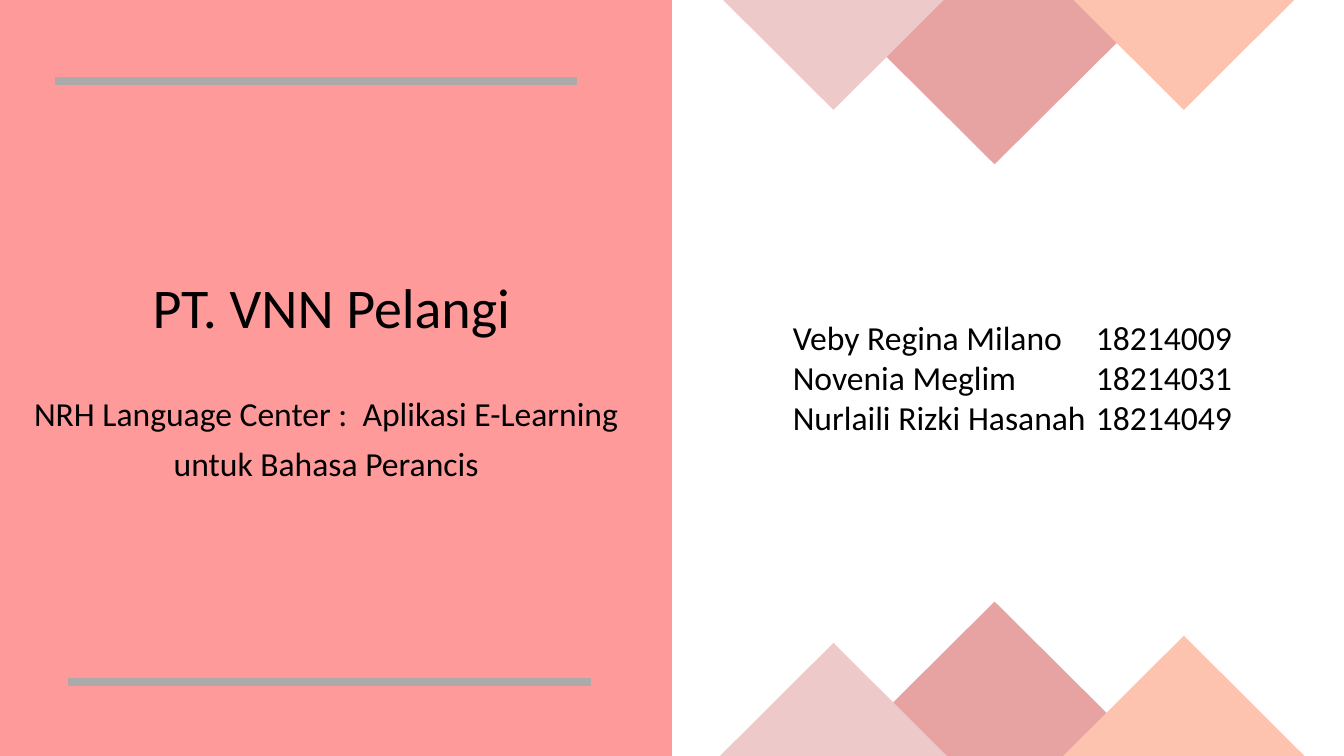
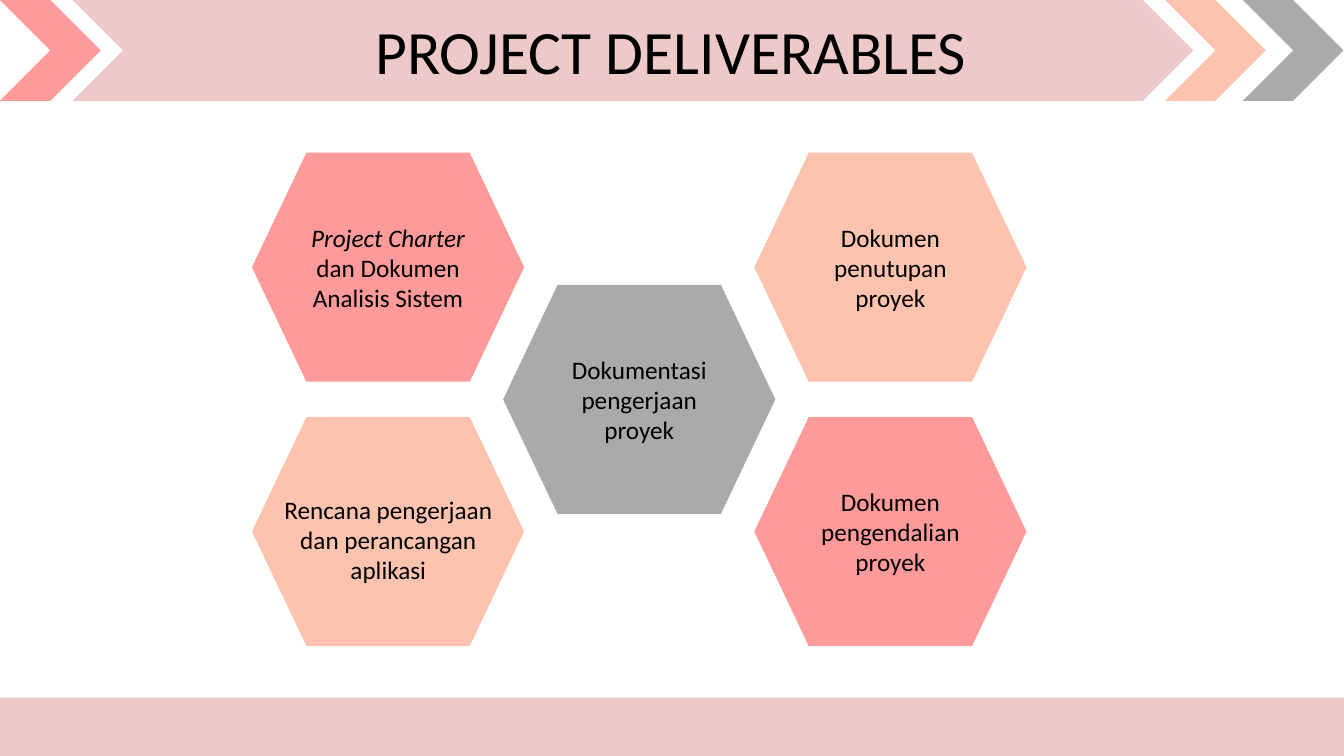
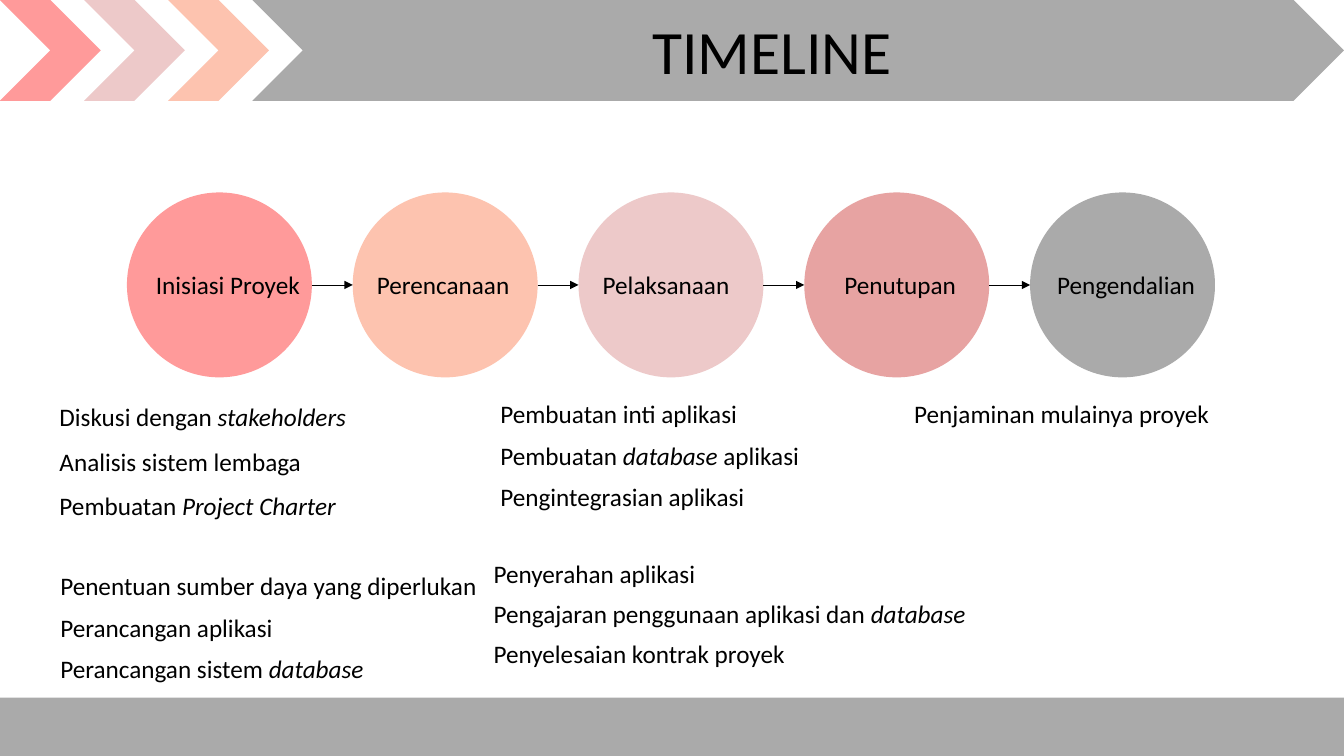
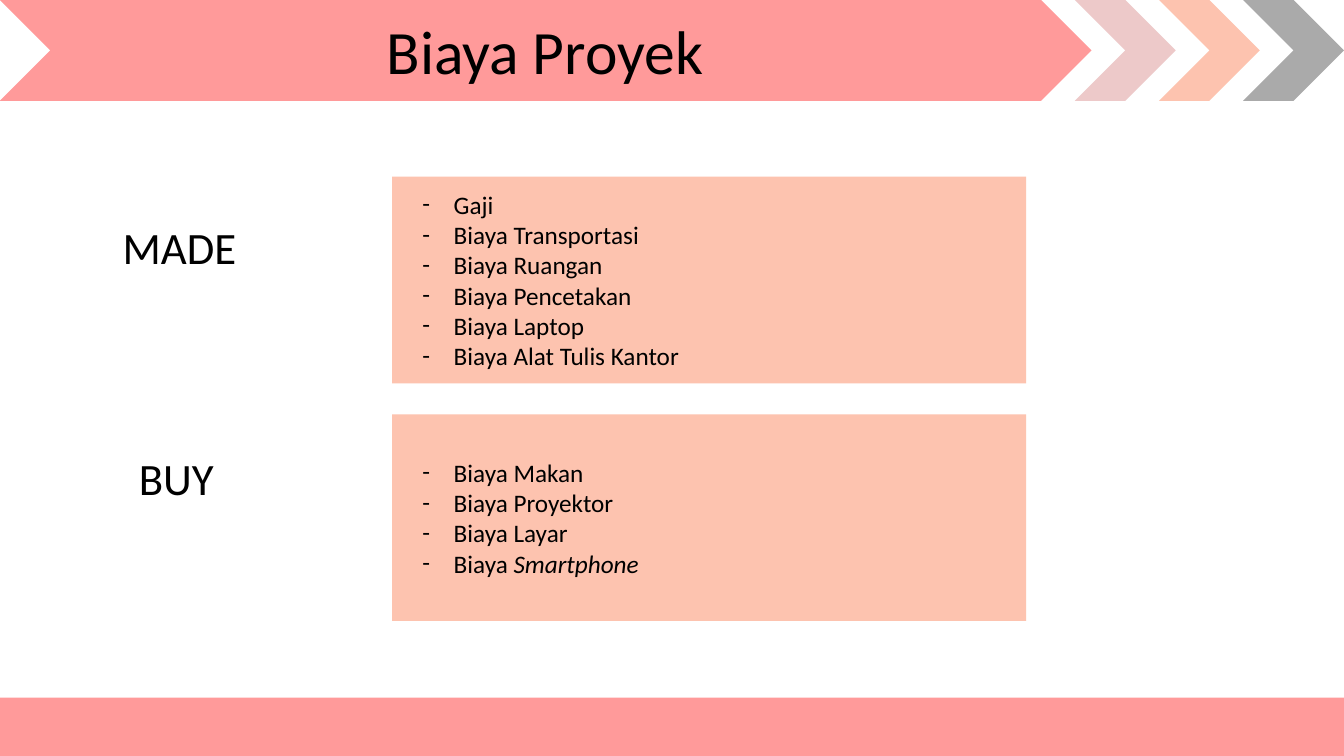
from lxml.etree import SubElement
from pptx import Presentation
from pptx.dml.color import RGBColor
from pptx.enum.shapes import MSO_CONNECTOR, MSO_SHAPE
from pptx.enum.text import MSO_ANCHOR, MSO_AUTO_SIZE, PP_ALIGN
from pptx.oxml.ns import qn
from pptx.util import Cm, Pt

CORAL = RGBColor(0xFF, 0x9A, 0x9A)
BLUSH = RGBColor(0xED, 0xC9, 0xC9)
PEACH = RGBColor(0xFD, 0xC3, 0xAF)
ROSE = RGBColor(0xE7, 0xA3, 0xA2)
GRAY = RGBColor(0xAA, 0xAA, 0xAA)
BLACK = RGBColor(0, 0, 0)

FONT = "Calibri"
WIDTH, HEIGHT = 33.87, 19.05
BAND = 2.54
STEP = 2.12
FOOTER = 1.47


def write(frame, lines, size=18, align=PP_ALIGN.LEFT, anchor=MSO_ANCHOR.TOP,
          leading=1.0, gap=0, bullet=None, tab=None):
    """Fill a text frame, one paragraph per line, with *starred* parts in italics."""
    frame.word_wrap = True
    frame.auto_size = MSO_AUTO_SIZE.NONE
    frame.vertical_anchor = anchor
    for index, line in enumerate(lines):
        paragraph = frame.add_paragraph() if index else frame.paragraphs[0]
        properties = paragraph._p.get_or_add_pPr()
        if bullet:
            properties.set("marL", str(Cm(0.79)))
            properties.set("indent", str(-Cm(0.79)))
            SubElement(properties, qn("a:buFont"), typeface=FONT)
            SubElement(properties, qn("a:buChar"), char=bullet)
        if tab:
            stops = SubElement(properties, qn("a:tabLst"))
            SubElement(stops, qn("a:tab"), pos=str(Cm(tab)), algn="l")
        paragraph.alignment = align
        paragraph.line_spacing = leading
        paragraph.space_before = Pt(gap if index else 0)
        for position, part in enumerate(line.split("*")):
            if part:
                run = paragraph.add_run()
                run.text = part
                run.font.name = FONT
                run.font.size = Pt(size)
                run.font.color.rgb = BLACK
                run.font.italic = position % 2 == 1


def add_text(slide, box, lines, **style):
    """Add a text box in the given box."""
    write(slide.shapes.add_textbox(*map(Cm, box)).text_frame, lines, **style)


def fill_placeholder(slide, placeholder, box, lines, **style):
    """Move a placeholder in front of the shapes so far and fill it."""
    placeholder.left, placeholder.top, placeholder.width, placeholder.height = map(Cm, box)
    slide.shapes.element.append(placeholder.element)
    write(placeholder.text_frame, lines, **style)


def add_block(slide, kind, box, color):
    """Add a flat, borderless preset shape."""
    block = slide.shapes.add_shape(kind, *map(Cm, box))
    block.shadow.inherit = False
    block.fill.solid()
    block.fill.fore_color.rgb = color
    block.line.fill.background()
    return block


def add_rule(slide, left, right, y, color, width, arrow=False):
    """Add a horizontal line, with an arrowhead on its right end if asked."""
    rule = slide.shapes.add_connector(MSO_CONNECTOR.STRAIGHT, Cm(left), Cm(y), Cm(right), Cm(y))
    rule.line.color.rgb = color
    rule.line.width = Pt(width)
    if arrow:
        SubElement(rule.line._get_or_add_ln(), qn("a:tailEnd"), type="triangle")
    SubElement(rule.element.spPr, qn("a:effectLst"))


def add_frame(slide, title, title_left, chevrons, color):
    """Add the chevron header, its title and the footer band."""
    for left, width, chevron_color in chevrons:
        add_block(slide, MSO_SHAPE.CHEVRON, (left, 0, width, BAND), chevron_color)
    fill_placeholder(slide, slide.shapes.title, (title_left, 0.2, 21.13, 2.13), [title],
                     size=44, align=PP_ALIGN.CENTER, anchor=MSO_ANCHOR.MIDDLE)
    add_block(slide, MSO_SHAPE.RECTANGLE, (0, HEIGHT - FOOTER, WIDTH, FOOTER), color)


def add_diamonds(slide, top):
    """Add a row of three overlapping diamonds, set from the top of the largest."""
    for left, drop, width, height, color in (
            (20.9, 0, 8.33, 8.28, ROSE),
            (26.8, 0.86, 6.07, 6.05, PEACH),
            (18.06, 1.04, 5.89, 5.87, BLUSH)):
        add_block(slide, MSO_SHAPE.DIAMOND, (left, top + drop, width, height), color)


def add_cover(deck):
    """Build the cover slide."""
    slide = deck.slides.add_slide(deck.slide_layouts[0])
    add_block(slide, MSO_SHAPE.RECTANGLE, (0, 0, WIDTH / 2, HEIGHT), CORAL)
    fill_placeholder(slide, slide.shapes.title, (-0.25, 5.59, 17.2, 3.12), ["PT. VNN Pelangi"],
                     size=40, align=PP_ALIGN.CENTER, anchor=MSO_ANCHOR.BOTTOM, leading=0.9)
    fill_placeholder(slide, slide.placeholders[1], (-0.25, 9.88, 16.94, 2.41),
                     ["NRH Language Center :  Aplikasi E-Learning", "untuk Bahasa Perancis"],
                     size=24, align=PP_ALIGN.CENTER, leading=0.9, gap=10)
    add_rule(slide, 1.38, 14.55, 2.04, GRAY, 6)
    add_rule(slide, 1.72, 14.89, 17.19, GRAY, 6)
    add_text(slide, (19.73, 7.85, 11.94, 3.33),
             ["Veby Regina Milano\t18214009", "Novenia Meglim\t18214031",
              "Nurlaili Rizki Hasanah\t18214049"], size=24, tab=7.64)
    for top in (-4.14, 15.16):
        add_diamonds(slide, top)


def add_hexagon(slide, left, top, color, deliverable):
    """Add one deliverable as a captioned hexagon."""
    hexagon = add_block(slide, MSO_SHAPE.FLOWCHART_PREPARATION, (left, top, 6.86, 5.77), color)
    frame = hexagon.text_frame
    frame.margin_left = frame.margin_right = 0
    if deliverable:
        write(frame, [deliverable], align=PP_ALIGN.CENTER, anchor=MSO_ANCHOR.MIDDLE)


def add_deliverables(deck):
    """Build the slide of project deliverables."""
    slide = deck.slides.add_slide(deck.slide_layouts[5])
    add_frame(slide, "PROJECT DELIVERABLES", 6.35,
              [(0, BAND, CORAL), (1.83, 28.24, BLUSH),
               (29.36, BAND, PEACH), (31.32, BAND, GRAY)], BLUSH)
    left, top, across, down = 6.35, 3.85, 6.33, 3.33
    for column, row, color, deliverable in (
            (0, 0, CORAL, "*Project Charter* dan Dokumen Analisis Sistem"),
            (0, 2, PEACH, ""),
            (1, 1, GRAY, "Dokumentasi pengerjaan proyek"),
            (2, 0, PEACH, "Dokumen penutupan proyek"),
            (2, 2, CORAL, "Dokumen pengendalian proyek")):
        add_hexagon(slide, left + column * across, top + row * down, color, deliverable)
    add_text(slide, (left + 0.22, top + 2 * down + 1.81, 6.43, 2.56),
             ["Rencana pengerjaan dan perancangan aplikasi"], align=PP_ALIGN.CENTER)


def add_stages(slide, left, top, diameter, pitch):
    """Add the row of stage circles joined by arrows."""
    stages = (("Inisiasi Proyek", CORAL, 0.48), ("Perencanaan", PEACH, 0.36),
              ("Pelaksanaan", BLUSH, 0.36), ("Penutupan", ROSE, 0.76),
              ("Pengendalian", GRAY, 0.43))
    middle = top + diameter / 2
    for index, (stage, color, inset) in enumerate(stages):
        x = left + index * pitch
        add_block(slide, MSO_SHAPE.OVAL, (x, top, diameter, diameter), color)
        add_text(slide, (x + inset, middle - 0.51, diameter, 1.02), [stage])
        if index:
            add_rule(slide, x - pitch + diameter, x, middle, BLACK, 0.5, arrow=True)


def add_timeline(deck):
    """Build the timeline slide."""
    slide = deck.slides.add_slide(deck.slide_layouts[5])
    add_frame(slide, "TIMELINE", 8.89,
              [(0, BAND, CORAL), (STEP, BAND, BLUSH), (2 * STEP, BAND, PEACH),
               (3 * STEP, WIDTH - 3 * STEP, GRAY)], GRAY)
    add_stages(slide, 3.2, 4.85, 4.66, 5.69)
    for left, top, gap, tasks in (
            (1.25, 10, 10, ["Diskusi dengan *stakeholders*", "Analisis sistem lembaga",
                            "Pembuatan *Project Charter*"]),
            (1.27, 14.25, 8, ["Penentuan sumber daya yang diperlukan", "Perancangan aplikasi",
                              "Perancangan sistem *database*"]),
            (12.36, 9.92, 8, ["Pembuatan inti aplikasi", "Pembuatan *database* aplikasi",
                              "Pengintegrasian aplikasi"]),
            (12.19, 13.95, 7, ["Penyerahan aplikasi",
                               "Pengajaran penggunaan aplikasi dan *database*",
                               "Penyelesaian kontrak proyek"]),
            (22.79, 9.92, 0, ["Penjaminan mulainya proyek"])):
        height = 1.02 + 1.06 * (len(tasks) - 1)
        add_text(slide, (left, top, 14 if left < 20 else 10, height), tasks, gap=gap)


def add_cost_group(slide, body, top, heading, heading_left, heading_drop, costs):
    """Add a heading beside a panel that lists its costs."""
    left, width, height, inset = 9.88, 15.98, 5.21, 0.51
    add_text(slide, (heading_left, top + heading_drop, 4.75, 1.63), [heading], size=32)
    add_block(slide, MSO_SHAPE.RECTANGLE, (left, top, width, height), PEACH)
    fill_placeholder(slide, body, (left + inset, top, width - inset, height), costs,
                     anchor=MSO_ANCHOR.MIDDLE, bullet="-")


def add_costs(deck):
    """Build the project cost slide."""
    slide = deck.slides.add_slide(deck.slide_layouts[3])
    band_width = WIDTH - 3 * STEP
    add_frame(slide, "Biaya Proyek", 3.17,
              [(0, band_width, CORAL)]
              + [(WIDTH - BAND - back * STEP, BAND, color)
                 for back, color in ((2, BLUSH), (1, PEACH), (0, GRAY))], CORAL)
    made, buy = slide.placeholders[1], slide.placeholders[2]
    add_cost_group(slide, made, 4.45, "MADE", 2.84, 0.96,
                   ["Gaji", "Biaya Transportasi", "Biaya Ruangan", "Biaya Pencetakan",
                    "Biaya Laptop", "Biaya Alat Tulis Kantor"])
    add_cost_group(slide, buy, 10.44, "BUY", 3.25, 0.79,
                   ["Biaya Makan", "Biaya Proyektor", "Biaya Layar", "Biaya *Smartphone*"])


def main():
    """Build the deck and save it."""
    deck = Presentation()
    deck.slide_width, deck.slide_height = Cm(WIDTH), Cm(HEIGHT)
    for add_slide in (add_cover, add_deliverables, add_timeline, add_costs):
        add_slide(deck)
    deck.save("out.pptx")


if __name__ == "__main__":
    main()
